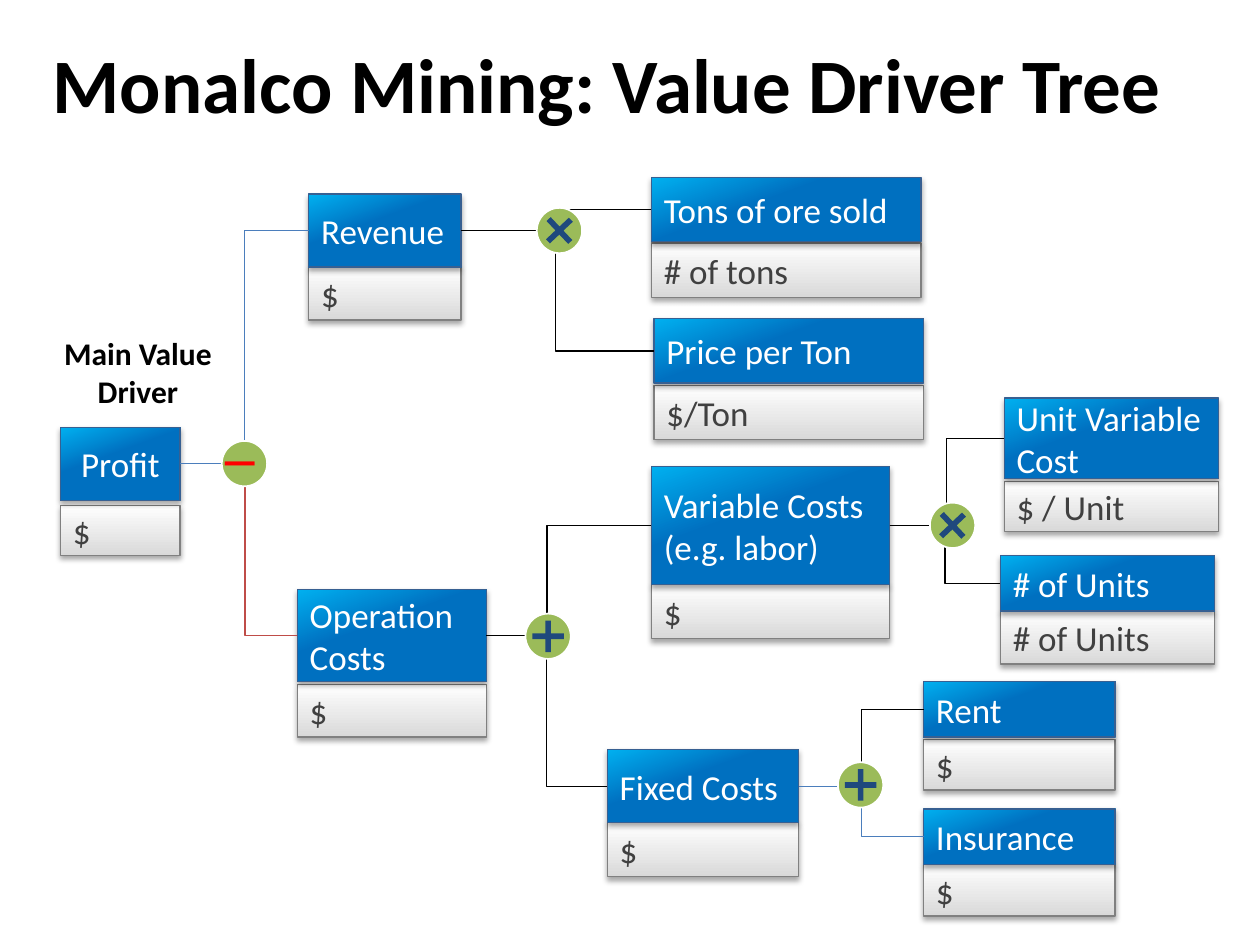
from dataclasses import dataclass

from lxml import etree
from pptx import Presentation
from pptx.dml.color import RGBColor
from pptx.enum.shapes import MSO_CONNECTOR, MSO_SHAPE
from pptx.enum.text import MSO_ANCHOR, MSO_AUTO_SIZE, PP_ALIGN
from pptx.oxml.ns import qn
from pptx.util import Inches, Pt

RECT, OVAL, CROSS = MSO_SHAPE.RECTANGLE, MSO_SHAPE.OVAL, MSO_SHAPE.CROSS
ELBOW = MSO_CONNECTOR.ELBOW
MIDDLE, TOP = MSO_ANCHOR.MIDDLE, MSO_ANCHOR.TOP
LEFT, CENTER = PP_ALIGN.LEFT, PP_ALIGN.CENTER
GROW = MSO_AUTO_SIZE.SHAPE_TO_FIT_TEXT
LEFT_SITE, RIGHT_SITE = 1, 3


@dataclass(frozen=True)
class Theme:
    """Colours, fonts and sizes of the slide."""
    font: str = "Calibri"
    mark_font: str = "Arial"
    title: int = 44
    body: int = 20
    note: int = 18
    hair: float = 0.75
    black: str = "000000"
    white: str = "FFFFFF"
    red: str = "FF0000"
    dark: str = "404040"
    green: str = "9BBB59"
    navy: str = "1F497D"
    blue: str = "4B7EBC"
    rust: str = "BF4C48"
    # stops, angle, border
    head: tuple = (((0, "00B0F0"), (0.4, "0070C0")), 290, "376092")
    value: tuple = (((0, "D9D9D9"), (1, "FFFFFF")), 90, "808080")


THEME = Theme()

# name: left, width, head top, head height, value top, value height, head, value
BOXES = {
    "profit": (0.48, 0.95, 3.39, 0.58, 4.01, 0.4, "Profit", "$"),
    "sales": (2.45, 1.21, 1.54, 0.58, 2.12, 0.42, "Revenue", "$"),
    "costs": (2.36, 1.5, 4.68, 0.73, 5.43, 0.42, "Operation Costs", "$"),
    "tons": (5.17, 2.14, 1.41, 0.51, 1.93, 0.43, "Tons of ore sold", "# of tons"),
    "price": (5.19, 2.14, 2.53, 0.51, 3.06, 0.43, "Price per Ton", "$/Ton"),
    "labor": (5.17, 1.89, 3.7, 0.94, 4.64, 0.43, "Variable Costs (e.g. labor)", "$"),
    "fixed": (4.82, 1.52, 5.95, 0.58, 6.53, 0.43, "Fixed Costs", "$"),
    "rate": (7.97, 1.7, 3.16, 0.64, 3.82, 0.4, "Unit Variable Cost", "$ / Unit"),
    "units": (7.94, 1.7, 4.41, 0.44, 4.85, 0.42, "# of Units", "# of Units"),
    "rent": (7.33, 1.52, 5.41, 0.44, 5.87, 0.4, "Rent", "$"),
    "cover": (7.33, 1.52, 6.42, 0.44, 6.86, 0.41, "Insurance", "$"),
}

# parent, child, colour, place of the bend
LINKS = (
    ("profit", "costs", THEME.rust, 0.555),
    ("profit", "sales", THEME.blue, 0.5),
    ("sales", "tons", THEME.black, 0.5),
    ("sales", "price", THEME.black, 0.489),
    ("costs", "labor", THEME.black, 0.368),
    ("costs", "fixed", THEME.black, 0.5),
    ("labor", "rate", THEME.black, 0.5),
    ("labor", "units", THEME.black, 0.5),
    ("fixed", "rent", THEME.black, 0.5),
    ("fixed", "cover", THEME.blue, 0.5),
)

# centre x, centre y, turn
SIGNS = ((7.56, 4.17, 46.6), (4.44, 1.83, 46.6), (4.35, 5.05, 90), (6.83, 6.23, 90))
MINUS = (1.94, 3.68)
DISC, PLUS, ARM = 0.36, 0.25, 0.41


def rgb(code):
    """Turn a hex code into a colour."""
    return RGBColor.from_string(code)


def apply(thing, values):
    """Set each named value on the thing."""
    for name, value in values.items():
        setattr(thing, name, value)


def write(shape, text, size, color, bold=False, align=LEFT, anchor=MIDDLE,
          font=THEME.font):
    """Put one styled line of text in a shape."""
    apply(shape.text_frame, {"word_wrap": True, "vertical_anchor": anchor})
    para = shape.text_frame.paragraphs[0]
    para.alignment = align
    run = para.add_run()
    run.text = text
    apply(run.font, {"name": font, "size": Pt(size), "bold": bold})
    run.font.color.rgb = rgb(color)


def label(slide, place, text, size, align=LEFT):
    """Add bold free text."""
    box = slide.shapes.add_textbox(*map(Inches, place))
    write(box, text, size, THEME.black, True, align, TOP)
    box.text_frame.auto_size = GROW


def shade(shape):
    """Give a shape a soft shadow below it."""
    shape.shadow.inherit = False
    effects = shape._element.spPr.find(qn("a:effectLst"))
    drop = etree.SubElement(effects, qn("a:outerShdw"), blurRad="40000",
                            dist="23000", dir="5400000", rotWithShape="0")
    tint = etree.SubElement(drop, qn("a:srgbClr"), val=THEME.black)
    etree.SubElement(tint, qn("a:alpha"), val="35000")


def panel(slide, place, style, text, color, align=LEFT):
    """Add a shaded box with a colour blend and text."""
    stops, angle, border = style
    shape = slide.shapes.add_shape(RECT, *map(Inches, place))
    shape.fill.gradient()
    shape.fill.gradient_angle = angle
    for stop, (spot, code) in zip(shape.fill.gradient_stops, stops):
        stop.position = spot
        stop.color.rgb = rgb(code)
    shape.line.color.rgb = rgb(border)
    shape.line.width = Pt(THEME.hair)
    shade(shape)
    write(shape, text, THEME.body, color, align=align)
    return shape


def node(slide, left, width, top, high, low, deep, head, value, align):
    """Add a head with its value below, and return the head."""
    panel(slide, (left, low, width, deep), THEME.value, value, THEME.dark)
    return panel(slide, (left, top, width, high), THEME.head, head,
                 THEME.white, align)


def link(slide, start, end, color, bend):
    """Join two heads with an elbow line."""
    line = slide.shapes.add_connector(ELBOW, 0, 0, 0, 0)
    line.begin_connect(start, RIGHT_SITE)
    line.end_connect(end, LEFT_SITE)
    line.line.color.rgb = rgb(color)
    line.line.width = Pt(THEME.hair)
    props = line._element.spPr
    guides = props.find(qn("a:prstGeom")).find(qn("a:avLst"))
    etree.SubElement(guides, qn("a:gd"), name="adj1",
                     fmla=f"val {round(bend * 100000)}")
    etree.SubElement(props, qn("a:effectLst"))


def mark(shapes, kind, x, y, size, color, turn):
    """Add a flat shape about a centre point."""
    place = (x - size / 2, y - size / 2, size, size)
    shape = shapes.add_shape(kind, *map(Inches, place))
    shape.shadow.inherit = False
    shape.rotation = turn
    shape.fill.solid()
    shape.fill.fore_color.rgb = rgb(color)
    shape.line.fill.background()
    return shape


def disc(shapes, x, y, turn):
    """Add a green disc with a white rim."""
    shape = mark(shapes, OVAL, x, y, DISC, THEME.green, turn)
    shape.line.color.rgb = rgb(THEME.white)
    shape.line.width = Pt(1)
    return shape


def sign(slide, x, y, turn):
    """Add a grouped plus or times sign."""
    group = slide.shapes.add_group_shape()
    disc(group.shapes, x, y, turn)
    cross = mark(group.shapes, CROSS, x, y, PLUS, THEME.navy, turn)
    cross.adjustments[0] = ARM


def main():
    """Build and save the slide."""
    deck = Presentation()
    apply(deck, {"slide_width": Inches(10), "slide_height": Inches(7.5)})
    slide = deck.slides.add_slide(deck.slide_layouts[6])
    label(slide, (0.32, 0.24, 9.34, 0.84), "Monalco Mining: Value Driver Tree",
          THEME.title)
    label(slide, (0.11, 2.6, 1.97, 0.71), "Main Value Driver", THEME.note, CENTER)
    heads = {name: node(slide, *data, CENTER if name == "profit" else LEFT)
             for name, data in BOXES.items()}
    for start, end, color, bend in LINKS:
        link(slide, heads[start], heads[end], color, bend)
    for data in SIGNS:
        sign(slide, *data)
    minus = disc(slide.shapes, *MINUS, 90)
    write(minus, "|", THEME.note, THEME.red, True, font=THEME.mark_font)
    deck.save("out.pptx")


main()
